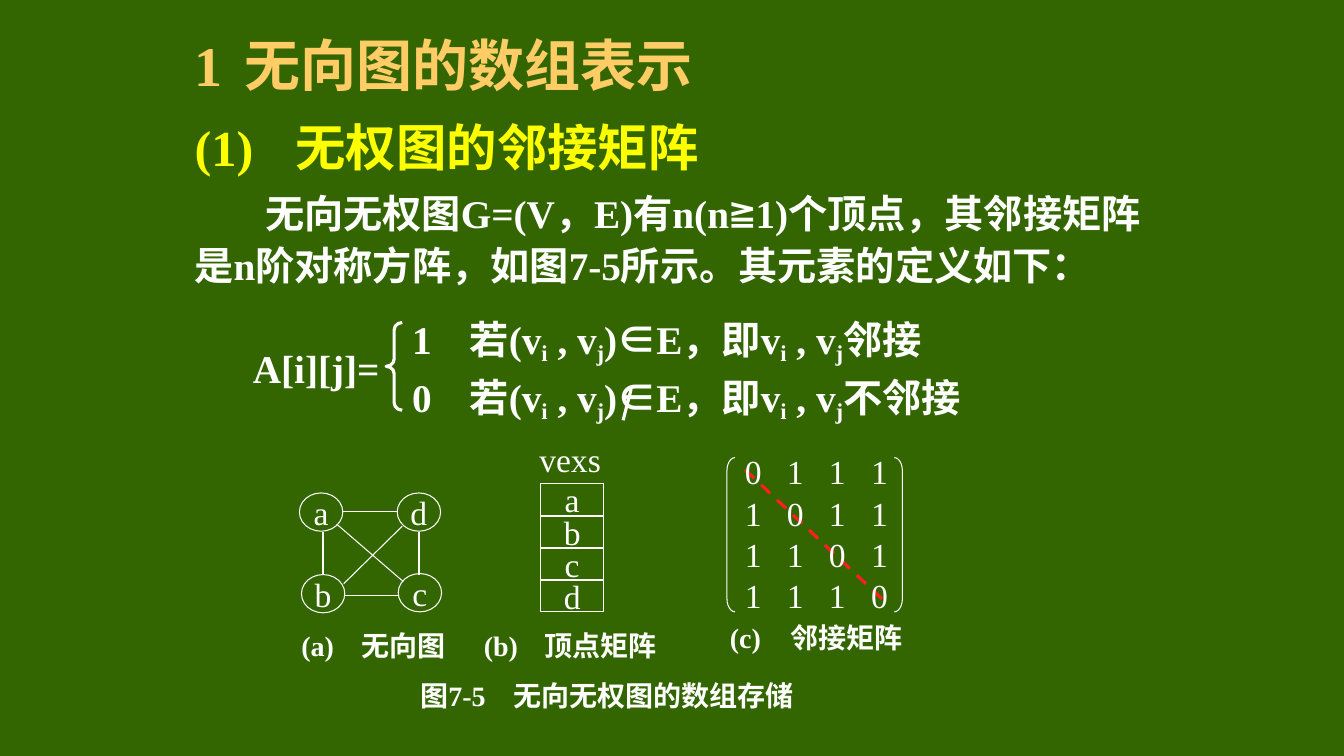
from dataclasses import dataclass

from lxml import etree
from pptx import Presentation, util as u
from pptx.dml.color import RGBColor
from pptx.enum import dml, shapes, text
from pptx.oxml import ns

Inches, Pt = u.Inches, u.Pt
MSO = shapes.MSO_SHAPE


@dataclass(frozen=True)
class Theme:
    """Colours, fonts and type sizes of the slide."""
    background: str = "336600"
    title: str = "FFCC66"
    subtitle: str = "FFFF00"
    ink: str = "FFFFFF"
    diagonal: str = "FF1F1F"
    latin: str = "Times New Roman"
    cjk: str = "Noto Sans CJK SC"
    title_size: int = 40
    subtitle_size: int = 36
    body_size: int = 28
    figure_size: int = 24
    caption_size: int = 20


THEME = Theme()


def add_run(paragraph, words, size, color=THEME.ink, bold=True, font=THEME.latin, baseline=0):
    """Append one formatted run."""
    run = paragraph.add_run()
    run.text = words
    run.font.size = Pt(size)
    run.font.bold = bold
    run.font.color.rgb = RGBColor.from_string(color)
    run.font.name = font
    properties = run._r.get_or_add_rPr()
    etree.SubElement(properties, ns.qn("a:ea")).set("typeface", THEME.cjk)
    if baseline:
        properties.set("baseline", str(baseline))


def set_tabs(paragraph, stops):
    """Set left tab stops, given in inches."""
    tabs = etree.SubElement(paragraph._p.get_or_add_pPr(), ns.qn("a:tabLst"))
    for stop in stops:
        tab = etree.SubElement(tabs, ns.qn("a:tab"))
        tab.set("pos", str(Inches(stop)))
        tab.set("algn", "l")


def add_label(slide, left, top, width, height, stops=()):
    """Add a text box and return its paragraph."""
    box = slide.shapes.add_textbox(Inches(left), Inches(top), Inches(width), Inches(height))
    frame = box.text_frame
    frame.word_wrap = True
    frame.vertical_anchor = text.MSO_ANCHOR.MIDDLE
    frame.margin_top = frame.margin_bottom = frame.margin_right = 0
    paragraph = frame.paragraphs[0]
    if stops:
        set_tabs(paragraph, stops)
    return paragraph


def add_outline(slide, kind, left, top, width, height, words="", weight=0.75, adjustment=None):
    """Add an unfilled preset shape with optional centred text."""
    shape = slide.shapes.add_shape(kind, Inches(left), Inches(top), Inches(width), Inches(height))
    shape.shadow.inherit = False
    shape.fill.background()
    shape.line.color.rgb = RGBColor.from_string(THEME.ink)
    shape.line.width = Pt(weight)
    if adjustment is not None:
        shape.adjustments[0] = adjustment
    if words:
        frame = shape.text_frame
        frame.word_wrap = False
        frame.vertical_anchor = text.MSO_ANCHOR.MIDDLE
        frame.margin_left = frame.margin_right = frame.margin_top = frame.margin_bottom = 0
        frame.paragraphs[0].alignment = text.PP_ALIGN.CENTER
        add_run(frame.paragraphs[0], words, THEME.figure_size, bold=False)


def add_line(slide, start, end, weight=0.75, color=THEME.ink, dashed=False):
    """Add a straight line between two points."""
    points = [Inches(value) for value in (*start, *end)]
    line = slide.shapes.add_connector(shapes.MSO_CONNECTOR.STRAIGHT, *points)
    line.line.color.rgb = RGBColor.from_string(color)
    line.line.width = Pt(weight)
    if dashed:
        line.line.dash_style = dml.MSO_LINE.DASH
    etree.SubElement(line._element.spPr, ns.qn("a:effectLst"))


def fill_body(slide):
    """Write the headings and the introduction in the body placeholder."""
    slide.shapes.title._element.getparent().remove(slide.shapes.title._element)
    body = slide.placeholders[1]
    body.left, body.top, body.width, body.height = map(Inches, (1.83, 0.16, 9.64, 2.8))
    frame = body.text_frame
    frame.word_wrap = True
    frame.auto_size = text.MSO_AUTO_SIZE.NONE
    frame.vertical_anchor = text.MSO_ANCHOR.TOP
    introduction = "无向无权图G=(V，E)有n(n≧1)个顶点，其邻接矩阵是n阶对称方阵，如图7-5所示。其元素的定义如下："
    rows = [
        ("1\t无向图的数组表示", THEME.title_size, THEME.title, 55, 0, 0.7),
        ("(1)\t无权图的邻接矩阵", THEME.subtitle_size, THEME.subtitle, 49, 0, 0.95),
        (introduction, THEME.body_size, THEME.ink, 37, 0.7, None),
    ]
    for index, (words, size, color, spacing, indent, stop) in enumerate(rows):
        paragraph = frame.add_paragraph() if index else frame.paragraphs[0]
        paragraph.line_spacing = Pt(spacing)
        paragraph.space_before = Pt(round(size * 0.2))
        properties = paragraph._p.get_or_add_pPr()
        properties.set("marL", "0")
        properties.set("indent", str(Inches(indent)))
        etree.SubElement(properties, ns.qn("a:buNone"))
        if stop:
            set_tabs(paragraph, [stop])
        add_run(paragraph, words, size, color)


def add_definition(slide):
    """Add the piecewise definition of a matrix element."""
    for value, ending, top, width in (("1", "邻接", 3.12, 5.6), ("0", "不邻接", 3.7, 6)):
        paragraph = add_label(slide, 3.99, top, width, 0.51, [0.57])
        pair = [(" , v", {}), ("j", {"baseline": -18000})]
        index = ("i", {"baseline": -18000})
        runs = [(f"{value}\t若(v", {}), index, *pair, (")", {}), ("∈", {"font": THEME.cjk}),
                ("E，即v", {}), index, *pair, (ending, {})]
        for words, style in runs:
            add_run(paragraph, words, THEME.body_size, **style)
    add_run(add_label(slide, 2.41, 3.41, 1.4, 0.47), "A[i][j]=", THEME.body_size)
    add_outline(slide, MSO.LEFT_BRACE, 3.83, 3.2, 0.16, 0.87, weight=2.25, adjustment=0.457)
    add_line(slide, (6.26, 3.86), (6.18, 4.17), 2.25)


def add_graph(slide):
    """Add the undirected graph with four vertices."""
    vertices = {"a": (2.97, 4.89), "b": (2.99, 5.7), "c": (3.95, 5.69), "d": (3.94, 4.89)}
    for name, (left, top) in vertices.items():
        add_outline(slide, MSO.OVAL, left, top, 0.43, 0.38, name)
    for x in (3.2, 4.16):
        add_line(slide, (x, 5.28), (x, 5.7), 1.5)
    edges = [((3.34, 5.2), (4, 5.77)), ((3.39, 5.07), (3.94, 5.07)),
             ((3.42, 5.91), (3.96, 5.91)), ((3.41, 5.79), (3.99, 5.22))]
    for start, end in edges:
        add_line(slide, start, end)


def add_vertex_array(slide):
    """Add the array of vertices under its name."""
    add_run(add_label(slide, 5.25, 4.38, 0.79, 0.35), "vexs", THEME.figure_size, bold=False)
    for index, name in enumerate("abcd"):
        add_outline(slide, MSO.RECTANGLE, 5.36, 4.8 + 0.32 * index, 0.63, 0.31, name)


def add_matrix(slide):
    """Add the adjacency matrix with its dashed diagonal."""
    add_line(slide, (7.39, 4.66), (8.81, 6), 2.25, THEME.diagonal, dashed=True)
    size = 4
    stops = [0.417 * column for column in range(1, size)]
    for row in range(size):
        words = "\t".join("0" if row == column else "1" for column in range(size))
        paragraph = add_label(slide, 7.29, 4.5 + 0.41 * row, 1.6, 0.35, stops)
        add_run(paragraph, words, THEME.figure_size, bold=False)
    for kind, left in ((MSO.LEFT_BRACKET, 7.21), (MSO.RIGHT_BRACKET, 8.87)):
        add_outline(slide, kind, left, 4.54, 0.08, 1.53, adjustment=1.637)


def add_captions(slide):
    """Add the captions of the parts and of the whole figure."""
    captions = [
        ("(a)\t无向图", 2.89, 6.23, 1.6, 0.6),
        ("(b)\t顶点矩阵", 4.7, 6.23, 1.9, 0.6),
        ("(c)\t邻接矩阵", 7.14, 6.15, 1.9, 0.6),
        ("图7-5\t无向无权图的数组存储", 4.07, 6.72, 3.9, 0.92),
    ]
    for words, left, top, width, stop in captions:
        add_run(add_label(slide, left, top, width, 0.35, [stop]), words, THEME.caption_size)


def main():
    """Build and save the slide."""
    presentation = Presentation()
    presentation.slide_width, presentation.slide_height = Inches(13.33), Inches(7.5)
    slide = presentation.slides.add_slide(presentation.slide_layouts[1])
    slide.background.fill.solid()
    slide.background.fill.fore_color.rgb = RGBColor.from_string(THEME.background)
    for build in (fill_body, add_definition, add_graph, add_vertex_array, add_matrix, add_captions):
        build(slide)
    presentation.save("out.pptx")


if __name__ == "__main__":
    main()
